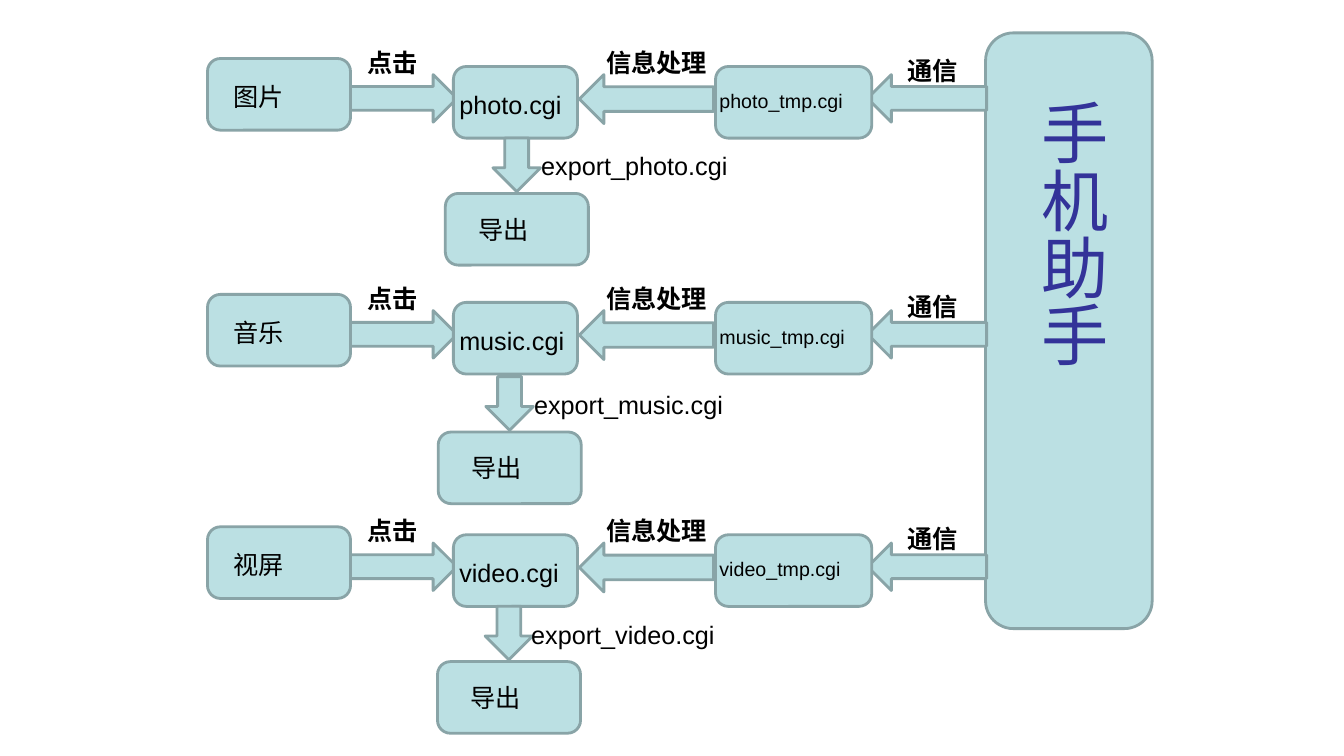
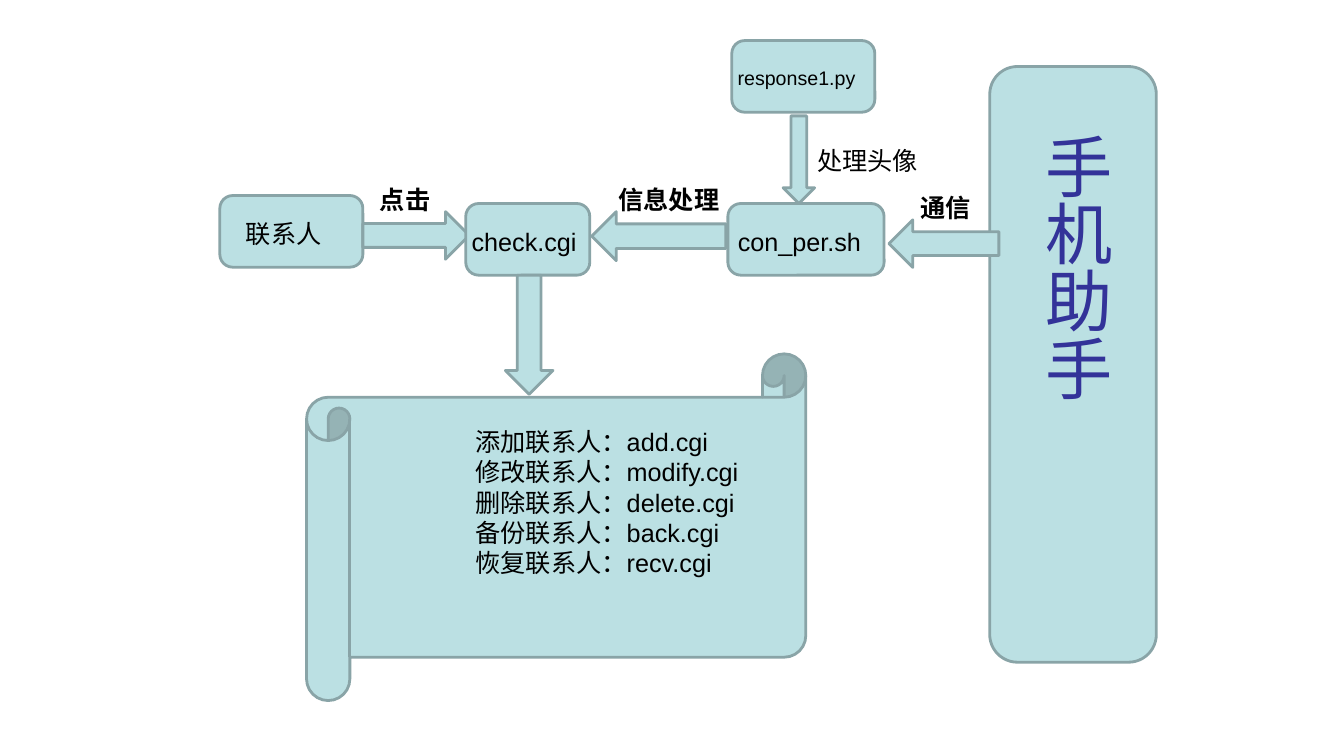
from pptx import Presentation
from pptx.dml.color import RGBColor
from pptx.enum import shapes, text
from pptx.util import Pt

FILL = RGBColor(0xBB, 0xE0, 0xE3)
EDGE = RGBColor(0x89, 0xA4, 0xA7)
INK = RGBColor(0, 0, 0)
TITLE = RGBColor(0x33, 0x33, 0x99)
FONT = "Arial"
BOX_W, BOX_H, PAGE_W, HELPER_W = 102.2, 51.2, 88.6, 111.6
ARROW_H = 34
LABEL_H = 29
KIND = shapes.MSO_SHAPE


def add_part(slide, kind, x, y, w, h, adj=None):
    """Draw one pale shape with the shared outline."""
    sp = slide.shapes.add_shape(kind, Pt(x), Pt(y), Pt(w), Pt(h))
    sp.shadow.inherit = False
    sp.fill.solid()
    sp.fill.fore_color.rgb = FILL
    sp.line.color.rgb = EDGE
    sp.line.width = Pt(2)
    if adj is not None:
        sp.adjustments[0] = adj
    return sp


def add_box(slide, x, y, w=BOX_W):
    """Draw a rounded box of the shared height."""
    return add_part(slide, KIND.ROUNDED_RECTANGLE, x, y, w, BOX_H, 0.18)


def add_label(slide, lines, x, y, w, size=18, bold=False, color=INK, h=LABEL_H):
    """Write one paragraph per line in a text box."""
    tf = slide.shapes.add_textbox(Pt(x), Pt(y), Pt(w), Pt(h)).text_frame
    tf.word_wrap = True
    tf.text = "\n".join(lines)
    for p in tf.paragraphs:
        p.font.name = FONT
        p.font.size = Pt(size)
        p.font.bold = bold
        p.font.color.rgb = color
    return tf


def add_assistant(slide, x, y):
    """Draw the tall assistant panel with its vertical title."""
    add_part(slide, KIND.ROUNDED_RECTANGLE, x, y, 119, 425.5)
    tf = add_label(slide, ["手机助手"], x + 22.3, y + 40.7, 72, 48, color=TITLE, h=334)
    tf._txBody.bodyPr.set("vert", "eaVert")


def add_chain(slide, x, y, name, page, helper, helper_size, helper_dx, link_dy, link_w):
    """Draw one row: entry, page, helper and the arrows that join them."""
    add_box(slide, x, y)
    add_label(slide, [name], x + 11.5, y + 12.7, 79)
    add_part(slide, KIND.RIGHT_ARROW, x + BOX_W, y + 11.5, 76, ARROW_H)
    add_label(slide, ["点击"], x + 107.3, y - 11.5, 86, bold=True)
    add_box(slide, x + 175.7, y + 5.7, PAGE_W)
    add_label(slide, [page], x + 172.8, y + 18.5, 100)

    link_right = x + 556.5
    add_part(slide, KIND.LEFT_ARROW, link_right - link_w, y + link_dy, link_w, ARROW_H)
    add_label(slide, ["通信"], link_right - 63.4, y - 5.8, 63.4, bold=True)
    add_box(slide, x + 362.9, y + 5.7, HELPER_W)
    add_label(slide, [helper], x + helper_dx, y + 18.2, 140, helper_size)
    add_part(slide, KIND.LEFT_ARROW, x + 265.7, y + 11.5, 95.8, 35)
    add_label(slide, ["信息处理"], x + 277.7, y - 11.5, 96.5, bold=True)


def add_export(slide, x, y, script, label_dx):
    """Draw the down arrow, its script name and the export box."""
    add_part(slide, KIND.DOWN_ARROW, x, y, ARROW_H, 38.3)
    add_box(slide, x - 34, y + 39.6)
    add_label(slide, [script], x + label_dx, y + 5.5, 180)
    add_label(slide, ["导出"], x - 17.3, y + 50.7, 74)


def add_media_slide(prs):
    """Build the slide for pictures, music and video."""
    slide = prs.slides.add_slide(prs.slide_layouts[6])
    add_assistant(slide, 704, 23.5)
    rows = [
        ("图片", "photo", 41.8, 352.1, 98.6, 27.4),
        ("音乐", "music", 210.3, 347, 269, 27.4),
        ("视屏", "video", 376.3, 346.5, 433, 25.9),
    ]
    for name, stem, y, export_x, export_y, label_dx in rows:
        add_chain(slide, 148.2, y, name, f"{stem}.cgi", f"{stem}_tmp.cgi", 14, 358.6, 11.5, 85)
        add_export(slide, export_x, export_y, f"export_{stem}.cgi", label_dx)


def add_contacts_slide(prs):
    """Build the slide for contacts."""
    slide = prs.slides.add_slide(prs.slide_layouts[6])
    add_assistant(slide, 707, 47.5)
    add_chain(slide, 157, 139.7, "联系人", "check.cgi", "con_per.sh", 18, 362.9, 17.3, 78.5)
    add_part(slide, KIND.DOWN_ARROW, 361, 196.6, ARROW_H, 85)

    add_box(slide, 522.7, 29)
    add_label(slide, ["response1.py"], 519.8, 43.2, 111, 14)
    add_part(slide, KIND.DOWN_ARROW, 559.4, 82.8, 22.5, 62.6)
    add_label(slide, ["处理头像"], 576.7, 100, 113)

    add_part(slide, KIND.HORIZONTAL_SCROLL, 219, 252.8, 356.6, 247.6)
    actions = [("添加", "add"), ("修改", "modify"), ("删除", "delete"), ("备份", "back"), ("恢复", "recv")]
    lines = [f"{verb}联系人：{stem}.cgi" for verb, stem in actions]
    add_label(slide, lines, 332.6, 301, 289.4, h=115)


def main():
    """Build and save the presentation."""
    prs = Presentation()
    prs.slide_width, prs.slide_height = Pt(960), Pt(540)
    add_media_slide(prs)
    add_contacts_slide(prs)
    prs.save("out.pptx")


if __name__ == "__main__":
    main()
